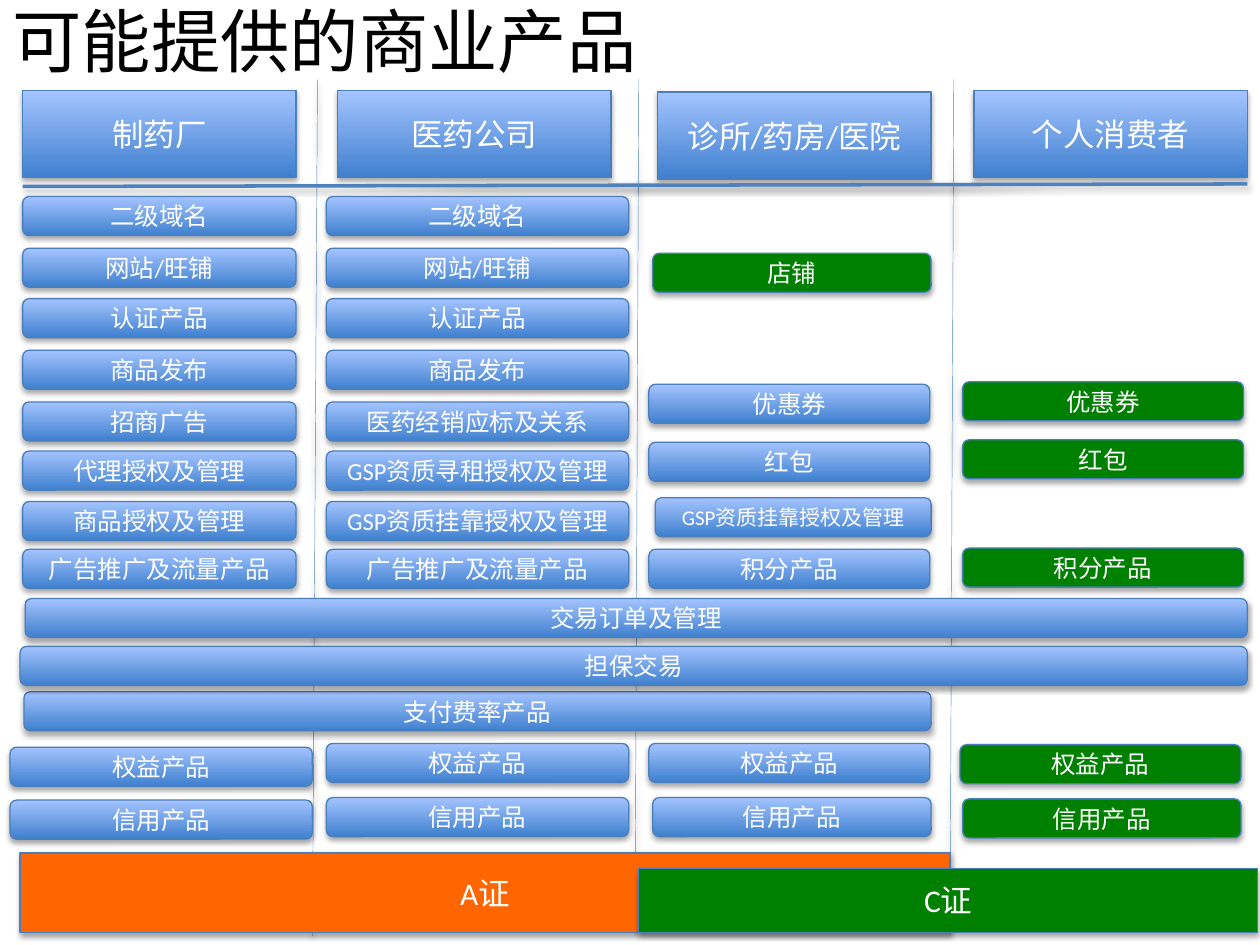
"""Build the slide of commercial products offered to each customer group."""
from lxml.etree import SubElement
from pptx import Presentation
from pptx.dml.color import RGBColor
from pptx.enum.shapes import MSO_CONNECTOR, MSO_SHAPE
from pptx.enum.text import MSO_ANCHOR, MSO_AUTO_SIZE, PP_ALIGN
from pptx.oxml.ns import qn
from pptx.util import Inches, Pt

WHITE = RGBColor(0xFF, 0xFF, 0xFF)
BLACK = RGBColor(0x00, 0x00, 0x00)
DARK_BLUE = RGBColor(0x3F, 0x80, 0xCE)
LIGHT_BLUE = RGBColor(0xA4, 0xC4, 0xFF)
OUTLINE = RGBColor(0x4B, 0x7E, 0xBC)
RULE_BLUE = RGBColor(0x4F, 0x81, 0xBD)
GREEN = RGBColor(0x00, 0x80, 0x00)
ORANGE = RGBColor(0xFF, 0x66, 0x00)
FONT = "Calibri"
PILL_HEIGHT = 0.31

TITLE = "可能提供的商业产品"
HEADERS = [
    ("制药厂", 0.18, 0.72), ("医药公司", 2.68, 0.72),
    ("诊所/药房/医院", 5.22, 0.73), ("个人消费者", 7.73, 0.72),
]
RULES = [
    (7.57, 0.63, 7.54, 7.43, 0.25), (5.07, 0.63, 5.04, 7.43, 0.25),
    (2.52, 0.63, 2.48, 7.43, 0.25), (0.18, 1.48, 9.9, 1.46, 2),
]
CERTIFICATES = [
    ("A证", 0.16, 6.77, 7.38, 0.63, ORANGE),
    ("C证", 5.07, 6.89, 4.91, 0.51, GREEN),
]
ROW_TOPS = [1.56, 1.97, 2.37, 2.78, 3.19, 3.58, 3.98, 4.36]
MAKER_PRODUCTS = ["二级域名", "网站/旺铺", "认证产品", "商品发布", "招商广告",
                  "代理授权及管理", "商品授权及管理", "广告推广及流量产品"]
DEALER_PRODUCTS = MAKER_PRODUCTS[:4] + [
    "医药经销应标及关系", "GSP资质寻租授权及管理", "GSP资质挂靠授权及管理", "广告推广及流量产品"]
PILL_GROUPS = [
    (0.18, 2.17, None, list(zip(MAKER_PRODUCTS, ROW_TOPS))),
    (2.59, 2.4, None, list(zip(DEALER_PRODUCTS, ROW_TOPS))),
    (0.19, 7.2, None, [("支付费率产品", 5.49)]),
    (0.2, 9.7, None, [("交易订单及管理", 4.75)]),
    (0.16, 9.74, None, [("担保交易", 5.13)]),
    (0.08, 2.4, None, [("权益产品", 5.93), ("信用产品", 6.35)]),
    (2.59, 2.4, None, [("权益产品", 5.9), ("信用产品", 6.33)]),
    (5.15, 2.23, None, [("优惠券", 3.05), ("红包", 3.51), ("积分产品", 4.36), ("权益产品", 5.9)]),
    (5.18, 2.21, None, [("信用产品", 6.33)]),
    (5.18, 2.21, GREEN, [("店铺", 2.01)]),
    (7.64, 2.23, GREEN, [("优惠券", 3.03), ("红包", 3.49), ("积分产品", 4.35)]),
    (7.62, 2.23, GREEN, [("权益产品", 5.91)]),
    (7.64, 2.21, GREEN, [("信用产品", 6.34)]),
]
SMALL_PILL = ("GSP资质挂靠授权及管理", 5.2, 3.95, 2.19)


def add_shadow(effects, opacity, distance):
    """Put a soft downward shadow into an effect list."""
    shadow = SubElement(effects, qn("a:outerShdw"), blurRad="40000", dist=str(distance),
                        dir="5400000", rotWithShape="0")
    color = SubElement(shadow, qn("a:srgbClr"), val="000000")
    SubElement(color, qn("a:alpha"), val=str(opacity * 1000))


def add_box(page, kind, text, left, top, width, height, size, color=None):
    """Add a labelled box, blue gradient unless a colour is given."""
    box = page.shapes.add_shape(kind, Inches(left), Inches(top), Inches(width), Inches(height))
    if color is None:
        box.fill.gradient()
        box.fill.gradient_angle = 90
        for stop, shade in zip(box.fill.gradient_stops, (DARK_BLUE, LIGHT_BLUE)):
            stop.color.rgb = shade
    else:
        box.fill.solid()
        box.fill.fore_color.rgb = color
    box.line.color.rgb = OUTLINE
    box.line.width = Pt(0.75)
    box.shadow.inherit = False
    add_shadow(box._element.spPr.find(qn("a:effectLst")), 35, 23000)
    frame = box.text_frame
    frame.text = text
    frame.word_wrap = True
    frame.vertical_anchor = MSO_ANCHOR.MIDDLE
    format_paragraph(frame.paragraphs[0], size, WHITE, PP_ALIGN.CENTER)


def format_paragraph(paragraph, size, color, alignment):
    """Set the font and alignment of a paragraph."""
    paragraph.alignment = alignment
    paragraph.font.name = FONT
    paragraph.font.size = Pt(size)
    paragraph.font.color.rgb = color


def add_rule(page, x1, y1, x2, y2, weight):
    """Add a dividing line with a shadow."""
    rule = page.shapes.add_connector(
        MSO_CONNECTOR.STRAIGHT, Inches(x1), Inches(y1), Inches(x2), Inches(y2))
    rule.line.color.rgb = RULE_BLUE
    rule.line.width = Pt(weight)
    add_shadow(SubElement(rule._element.spPr, qn("a:effectLst")), 38, 20000)


deck = Presentation()
deck.slide_width, deck.slide_height = Inches(10), Inches(7.5)
page = deck.slides.add_slide(deck.slide_layouts[5])

title = page.shapes.title
title.left, title.top, title.width, title.height = Inches(0), Inches(0), Inches(10), Inches(0.63)
title.text_frame.text = TITLE
title.text_frame.auto_size = MSO_AUTO_SIZE.NONE
title.text_frame.vertical_anchor = MSO_ANCHOR.MIDDLE
format_paragraph(title.text_frame.paragraphs[0], 39.6, BLACK, PP_ALIGN.LEFT)

for text, left, top in HEADERS:
    add_box(page, MSO_SHAPE.RECTANGLE, text, left, top, 2.17, 0.69, 18)
for rule in RULES:
    add_rule(page, *rule)
for text, left, top, width, height, color in CERTIFICATES:
    add_box(page, MSO_SHAPE.RECTANGLE, text, left, top, width, height, 18, color)
for left, width, color, pills in PILL_GROUPS:
    for text, top in pills:
        add_box(page, MSO_SHAPE.ROUNDED_RECTANGLE, text, left, top, width, PILL_HEIGHT, 14, color)
add_box(page, MSO_SHAPE.ROUNDED_RECTANGLE, *SMALL_PILL, PILL_HEIGHT, 12)

deck.save("out.pptx")
